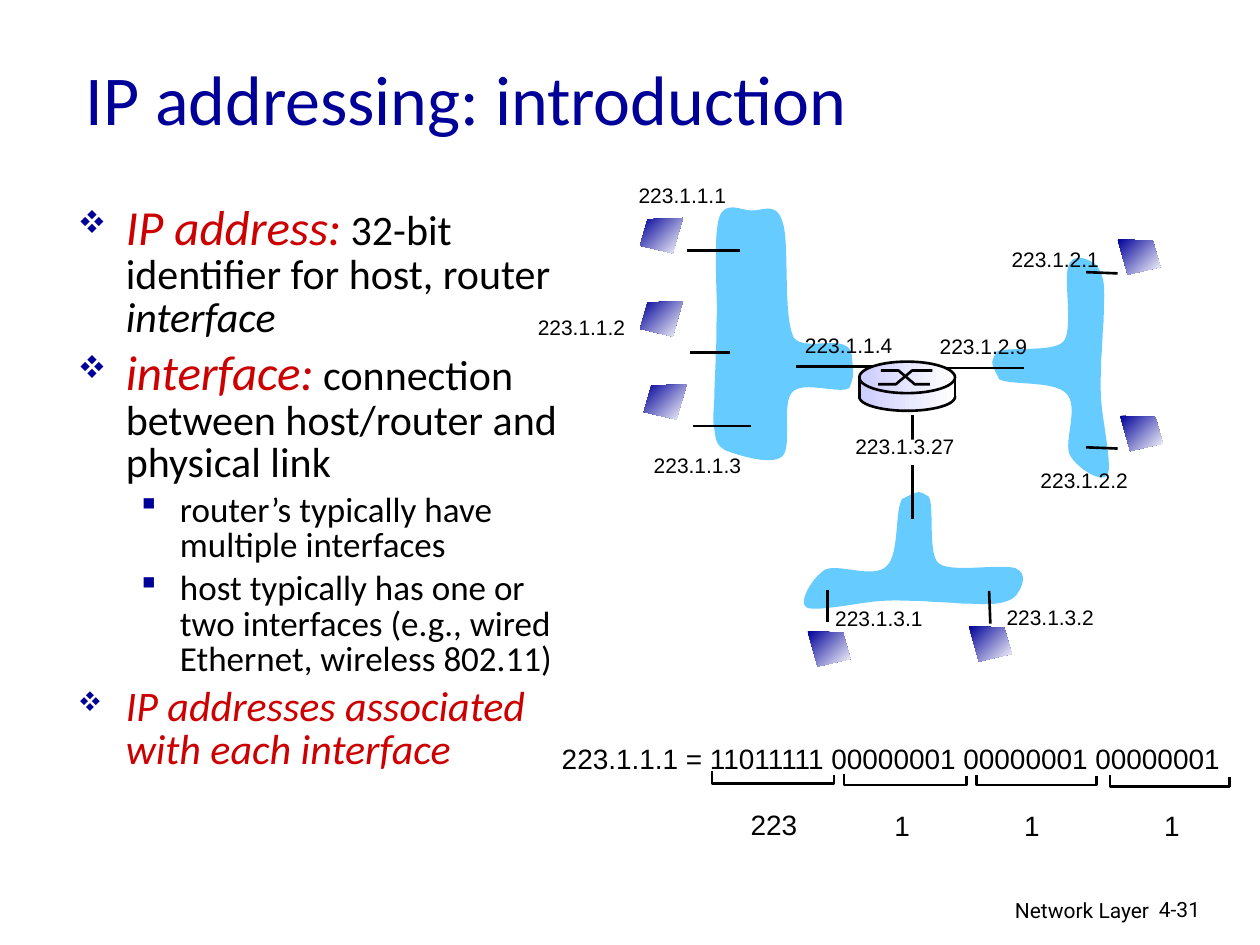
import pptx
import pptx.util
import pptx.dml.color
import pptx.enum.shapes
import pptx.enum.text
import pptx.oxml.ns
from lxml import etree

Inches, Pt = pptx.util.Inches, pptx.util.Pt
RGBColor = pptx.dml.color.RGBColor
SHAPE = pptx.enum.shapes.MSO_SHAPE
ALIGN = pptx.enum.text.PP_ALIGN
AUTO_SIZE = pptx.enum.text.MSO_AUTO_SIZE
qn = pptx.oxml.ns.qn

BLACK = RGBColor(0, 0, 0)
WHITE = RGBColor(255, 255, 255)
NAVY = RGBColor(0, 0, 0x99)
RED = RGBColor(0xCC, 0, 0)
SKY = RGBColor(0x66, 0xCC, 0xFF)
LILAC = RGBColor(0xCC, 0xCC, 0xFF)

# Content: body paragraphs as (level, runs), each run (text, size, colour, italic)
BODY = [
    (0, [("IP address:", 28, RED, True),
         (" 32-bit identifier for host, router ", 24, BLACK, False),
         ("interface", 24, BLACK, True)]),
    (0, [("interface:", 28, RED, True),
         (" connection between host/router and physical link", 24, BLACK, False)]),
    (1, [("router’s typically have multiple interfaces", 20, BLACK, False)]),
    (1, [("host typically has one or two interfaces (e.g., wired Ethernet, "
          "wireless 802.11)", 20, BLACK, False)]),
    (0, [("IP addresses associated with each interface", 24, RED, True)]),
]
# Per level: Wingdings bullet (diamonds, small square), size in percent, indent, hanging
BULLETS = [("v", 65, 0.38, 0.38), ("§", None, 0.81, 0.31)]

# Subnet clouds: start point, then Bezier pieces (two controls and an end)
SUBNETS = [
    ((7.16, 3.96), [
        (7.1, 4.05, 7.14, 4.39, 7.04, 4.49), (6.94, 4.6, 6.66, 4.47, 6.55, 4.52),
        (6.45, 4.58, 6.33, 4.78, 6.4, 4.82), (6.47, 4.86, 6.83, 4.78, 6.98, 4.77),
        (7.13, 4.76, 7.21, 4.77, 7.32, 4.77), (7.43, 4.78, 7.53, 4.78, 7.63, 4.79),
        (7.72, 4.79, 7.84, 4.8, 7.91, 4.79), (7.99, 4.78, 8.06, 4.75, 8.08, 4.7),
        (8.11, 4.66, 8.16, 4.55, 8.06, 4.51), (7.95, 4.47, 7.54, 4.55, 7.45, 4.47),
        (7.36, 4.4, 7.42, 4.01, 7.37, 3.94), (7.29, 3.9, 7.32, 3.88, 7.16, 3.96)]),
    ((7.93, 3.01), [
        (8.02, 3.06, 8.36, 3.02, 8.46, 3.12), (8.57, 3.22, 8.44, 3.5, 8.49, 3.61),
        (8.55, 3.72, 8.75, 3.84, 8.79, 3.77), (8.83, 3.7, 8.75, 3.34, 8.74, 3.18),
        (8.73, 3.03, 8.74, 2.95, 8.74, 2.85), (8.75, 2.74, 8.75, 2.63, 8.76, 2.54),
        (8.76, 2.44, 8.77, 2.33, 8.76, 2.25), (8.75, 2.18, 8.72, 2.11, 8.67, 2.08),
        (8.63, 2.06, 8.52, 2, 8.48, 2.11), (8.44, 2.21, 8.52, 2.63, 8.44, 2.71),
        (8.37, 2.8, 7.98, 2.75, 7.91, 2.79), (7.87, 2.88, 7.85, 2.85, 7.93, 3.01)]),
    ((6.76, 2.82), [
        (6.74, 2.63, 6.39, 2.8, 6.3, 2.68), (6.21, 2.5, 6.27, 1.92, 6.21, 1.76),
        (6.16, 1.59, 6.04, 1.68, 5.96, 1.67), (5.88, 1.67, 5.76, 1.59, 5.71, 1.72),
        (5.66, 1.86, 5.69, 2.3, 5.69, 2.48), (5.68, 2.66, 5.69, 2.71, 5.68, 2.81),
        (5.68, 2.92, 5.67, 3.03, 5.67, 3.12), (5.67, 3.22, 5.65, 3.33, 5.67, 3.41),
        (5.68, 3.48, 5.68, 3.54, 5.77, 3.58), (5.86, 3.61, 6.12, 3.7, 6.21, 3.62),
        (6.29, 3.54, 6.2, 3.19, 6.29, 3.11), (6.38, 3.02, 6.66, 3.13, 6.74, 3.08),
        (6.77, 3, 6.78, 3.01, 6.76, 2.82)]),
]
LINKS = [
    (7.5, 2.92, 8.13, 2.92), (8.62, 2.16, 8.87, 2.17), (8.62, 3.55, 8.87, 3.56),
    (7.24, 3.29, 7.24, 4.12), (6.57, 4.94, 6.57, 4.68), (7.86, 4.95, 7.85, 4.69),
    (5.45, 1.99, 5.87, 1.99), (5.48, 2.8, 5.79, 2.8), (5.5, 3.38, 5.96, 3.38),
    (6.32, 2.91, 6.94, 2.91),
]
LABEL_MASKS = [(4.27, 2.54, 0.91, 0.2), (6.78, 3.49, 0.93, 0.2)]
ADDRESSES = [
    ("223.1.1.1", 4.97, 1.4), ("223.1.1.2", 4.17, 2.45), ("223.1.1.3", 5.09, 3.54),
    ("223.1.1.4", 6.29, 2.59), ("223.1.2.9", 7.36, 2.6), ("223.1.2.2", 8.16, 3.66),
    ("223.1.2.1", 7.93, 1.91), ("223.1.3.2", 7.89, 4.75), ("223.1.3.1", 6.53, 4.76),
    ("223.1.3.27", 6.69, 3.39),
]
# Host screens: left, top, mirrored
SCREEN = [(0, 0), (0.28, 0.01), (0.34, 0.22), (0.08, 0.28)]
HOSTS = [(5.08, 1.73, True), (5.08, 2.39, True), (5.11, 3.05, True),
         (8.87, 1.9, False), (8.89, 3.3, False), (7.69, 4.97, False),
         (6.41, 5.01, False)]
# Octets: value, its left, top and width, then bracket left, right, top and bottom
OCTETS = [("223", 5.86, 6.36, 0.57, 5.65, 6.62, 6.12, 6.22),
          ("1", 7, 6.37, 0.32, 6.7, 7.67, 6.14, 6.23),
          ("1", 8.03, 6.37, 0.32, 7.75, 8.7, 6.15, 6.23),
          ("1", 9.14, 6.37, 0.32, 8.81, 9.76, 6.15, 6.24)]

deck = pptx.Presentation()
deck.slide_width, deck.slide_height = Inches(10), Inches(7.5)
slide = deck.slides.add_slide(deck.slide_layouts[5])


def write(paragraph, text, *, size=12, font="Arial", color=BLACK, italic=False):
    run = paragraph.add_run()
    run.text = text
    run.font.size, run.font.name, run.font.italic = Pt(size), font, italic
    run.font.color.rgb = color


def text_frame(left, top, width, height, wrap=False):
    box = slide.shapes.add_textbox(*map(Inches, (left, top, width, height)))
    frame = box.text_frame
    frame.word_wrap = wrap
    frame.auto_size = AUTO_SIZE.NONE if wrap else AUTO_SIZE.SHAPE_TO_FIT_TEXT
    return frame


def paint(shape, fill=None, gradient=None, angle=0, outlined=False):
    shape.shadow.inherit = False
    if gradient:
        shape.fill.gradient()
        shape.fill.gradient_angle = angle
        for stop, color in zip(shape.fill.gradient_stops, gradient):
            stop.color.rgb = color
    elif fill is not None:
        shape.fill.solid()
        shape.fill.fore_color.rgb = fill
    else:
        shape.fill.background()
    if outlined:
        shape.line.color.rgb, shape.line.width = BLACK, Pt(1.5)
    else:
        shape.line.fill.background()


def outline(parent, points, close=False, **look):
    start, *rest = [(Inches(x), Inches(y)) for x, y in points]
    builder = parent.build_freeform(*start, scale=1.0)
    builder.add_line_segments(rest, close=close)
    shape = builder.convert_to_shape()
    paint(shape, **look)
    return shape


def bend(shape, pieces):
    """Turn each straight segment of the outline into its Bezier piece."""
    for segment, piece in zip(list(shape._element.iter(qn("a:lnTo"))), pieces):
        segment.tag = qn("a:cubicBezTo")
        segment.remove(segment[0])
        for x, y in zip(piece[::2], piece[1::2]):
            etree.SubElement(segment, qn("a:pt"), x=str(Inches(x) - shape.left),
                             y=str(Inches(y) - shape.top))


def preset(parent, kind, bounds, **look):
    paint(parent.add_shape(kind, *map(Inches, bounds)), **look)


def link(parent, ends):
    line = parent.add_connector(pptx.enum.shapes.MSO_CONNECTOR.STRAIGHT, *map(Inches, ends))
    line.line.color.rgb, line.line.width = BLACK, Pt(1.5)
    etree.SubElement(line._element.spPr, qn("a:effectLst"))


def set_bullet(paragraph, level):
    mark, percent, indent, hanging = BULLETS[level]
    props = paragraph._p.get_or_add_pPr()
    props.set("marL", str(Inches(indent)))
    props.set("indent", str(-Inches(hanging)))
    color = etree.SubElement(props, qn("a:buClr"))
    etree.SubElement(color, qn("a:srgbClr"), val=str(NAVY))
    if percent:
        etree.SubElement(props, qn("a:buSzPct"), val=str(percent * 1000))
    etree.SubElement(props, qn("a:buFont"), typeface="Wingdings", charset="2")
    etree.SubElement(props, qn("a:buChar"), char=mark)


# Subnets
for start, pieces in SUBNETS:
    corners = [start] + [piece[4:] for piece in pieces]
    bend(outline(slide.shapes, corners, close=True, fill=SKY), pieces)

# Title, footer and page number
title = slide.shapes.title
title.left, title.top, title.width, title.height = map(Inches, (0.58, 0.25, 8.5, 1.04))
title.text_frame.auto_size = AUTO_SIZE.NONE
title.text_frame.vertical_anchor = pptx.enum.text.MSO_ANCHOR.MIDDLE
heading = title.text_frame.paragraphs[0]
heading.alignment = ALIGN.LEFT
write(heading, "IP addressing: introduction", size=40, font="Calibri", color=NAVY)
footer = text_frame(6.05, 7.07, 3.17, 0.31, wrap=True).paragraphs[0]
footer.alignment = ALIGN.RIGHT
write(footer, "Network Layer", font="Roboto")
write(text_frame(9.1, 7.07, 0.74, 0.3, wrap=True).paragraphs[0], "4-31", font="Roboto")

# Body
body = text_frame(0.52, 1.58, 4.04, 5.08, wrap=True)
for i, (level, runs) in enumerate(BODY):
    paragraph = body.add_paragraph() if i else body.paragraphs[0]
    paragraph.level = level
    paragraph.line_spacing = 0.85
    paragraph.space_before = Pt(0.2 * runs[0][1] if i else 0)
    set_bullet(paragraph, level)
    for text, size, color, italic in runs:
        write(paragraph, text, size=size, font="Calibri", color=color, italic=italic)

# Links, with the address labels over them
for ends in LINKS:
    link(slide.shapes, ends)
for bounds in LABEL_MASKS:
    preset(slide.shapes, SHAPE.RECTANGLE, bounds, fill=WHITE)
for address, left, top in ADDRESSES:
    write(text_frame(left, top, 0.1 * len(address), 0.3).paragraphs[0], address)

# Binary form and its octets
binary = text_frame(4.36, 5.84, 5.52, 0.37).paragraphs[0]
write(binary, "223.1.1.1 = 11011111 00000001 00000001 00000001", size=16)
for value, x, y, width, left, right, top, bottom in OCTETS:
    outline(slide.shapes, [(left, top), (left, bottom), (right, bottom), (right, bottom - 0.07)],
            outlined=True)
    write(text_frame(x, y, width, 0.37).paragraphs[0], value, size=16)

# Hosts
for left, top, mirrored in HOSTS:
    outline(slide.shapes, [(left + (0.34 - x if mirrored else x), top + y) for x, y in SCREEN],
            close=True, gradient=(NAVY, WHITE), angle=315)

# Router
router = slide.shapes.add_group_shape().shapes
metal = (LILAC, WHITE)
preset(router, SHAPE.OVAL, (6.82, 3.04, 0.76, 0.22), gradient=metal, outlined=True)
preset(router, SHAPE.RECTANGLE, (6.82, 3.02, 0.76, 0.13), gradient=metal)
preset(router, SHAPE.OVAL, (6.82, 2.87, 0.76, 0.25), gradient=metal, outlined=True)
outline(router, [(6.97, 3.05), (7.11, 3.05), (7.24, 2.94), (7.4, 2.94)], outlined=True)
outline(router, [(6.99, 2.94), (7.13, 2.94), (7.26, 3.05), (7.38, 3.05)], outlined=True)
for x in (6.82, 7.58):
    link(router, (x, 2.99, x, 3.16))

deck.save("out.pptx")
